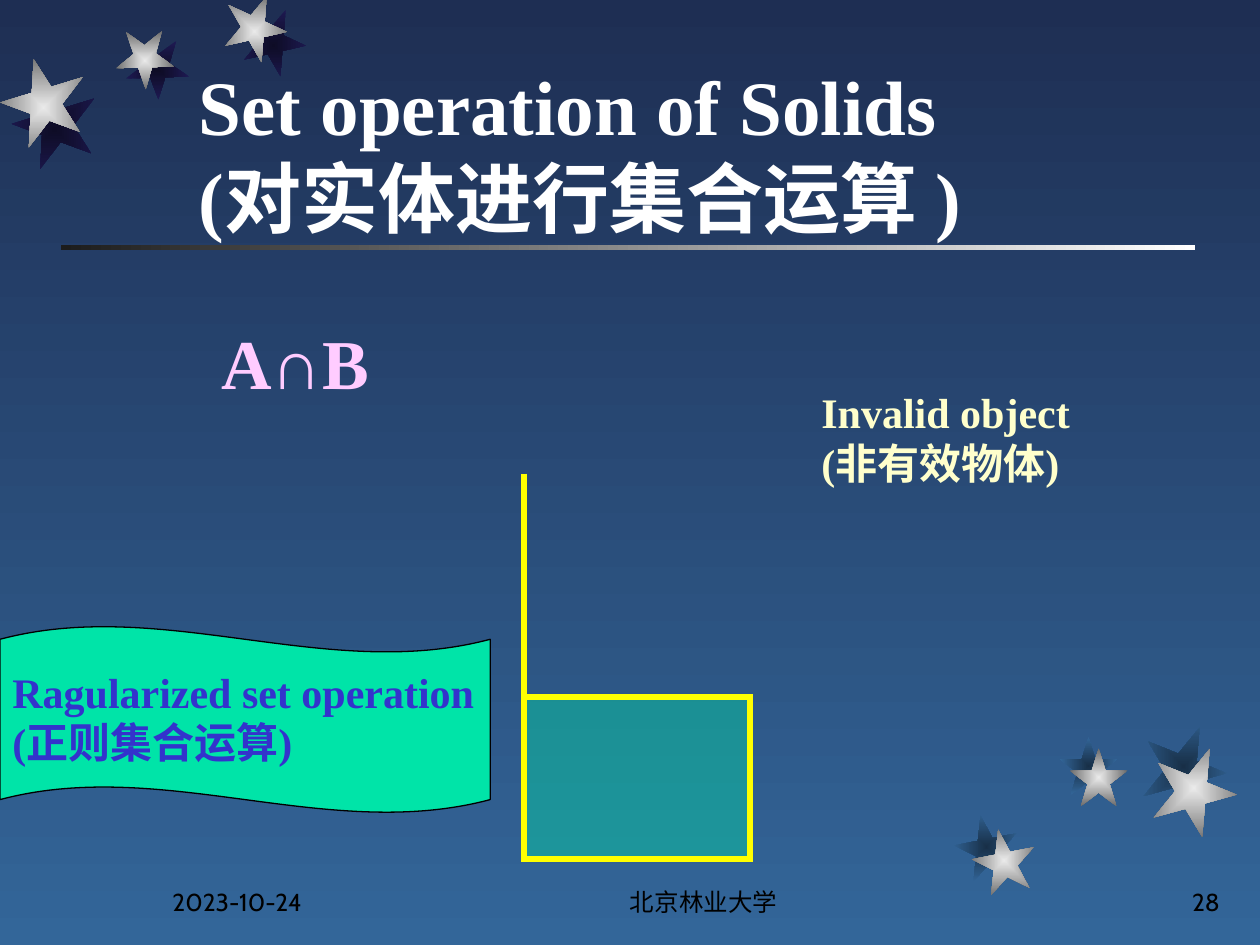
from lxml import etree
from pptx import Presentation
from pptx.dml.color import RGBColor
from pptx.enum.shapes import MSO_CONNECTOR, MSO_SHAPE
from pptx.enum.text import MSO_ANCHOR, MSO_AUTO_SIZE, PP_ALIGN
from pptx.oxml.ns import qn
from pptx.util import Inches, Pt

RECT, STAR, WAVE = MSO_SHAPE.RECTANGLE, MSO_SHAPE.STAR_5_POINT, MSO_SHAPE.WAVE
STRAIGHT = MSO_CONNECTOR.STRAIGHT
TOP, BOTTOM = MSO_ANCHOR.TOP, MSO_ANCHOR.BOTTOM
LEFT, CENTER, RIGHT = PP_ALIGN.LEFT, PP_ALIGN.CENTER, PP_ALIGN.RIGHT
FIXED, GROW = MSO_AUTO_SIZE.NONE, MSO_AUTO_SIZE.SHAPE_TO_FIT_TEXT
SERIF, SANS = "Times New Roman", "Cabin"

COLORS = {
    "night": "1E2E53", "sea": "336699", "coal": "1C1C1C", "white": "FFFFFF",
    "violet_dark": "0E0C26", "violet": "1E1A53", "sea_dark": "182F47",
    "silver": "EAEAEA", "grey": "6C6C6C", "black": "000000",
    "pink": "FFCCFF", "cream": "FFFFCC", "green": "00E4A8",
    "yellow": "FFFF00", "blue": "3333CC",
}
RGB = {name: RGBColor.from_string(value) for name, value in COLORS.items()}

prs = Presentation()
prs.slide_width, prs.slide_height = Inches(10), Inches(7.5)
s = prs.slides.add_slide(prs.slide_layouts[6])
COL = prs.slide_width / 100
ROW = prs.slide_height / 75


def add_shape(kind, x, y, w, h):
    sp = s.shapes.add_shape(kind, int(x * COL), int(y * ROW), int(w * COL), int(h * ROW))
    sp.shadow.inherit = False
    sp.line.fill.background()
    return sp


def set_gradient(fill, names, angle=None):
    fill.gradient()
    for stop, name, position in zip(fill.gradient_stops, names, (0, 1)):
        stop.color.rgb = RGB[name]
        stop.position = position
    if angle is not None:
        fill.gradient_angle = angle


set_gradient(s.background.fill, ("night", "sea"), 270)

rule = add_shape(RECT, 4.85, 19.45, 90, 0.4)
set_gradient(rule.fill, ("coal", "white"), 0)

star_groups = [
    (("violet_dark", "violet"), [
        (19.2, 1.1, 5, 5, 167.3, -1.5, -1.1),
        (10, 3.3, 5, 4.6, 178.3, -0.8, -0.8),
        (1, 6.9, 6.7, 6.7, 200.3, -0.9, -1.7),
    ]),
    (("sea_dark", "sea"), [
        (75.8, 64.7, 5, 5, 349, 1.4, 1.1),
        (84.1, 58.5, 4.6, 4.6, 0, 0.8, 0.9),
        (90.6, 57.5, 6.7, 6.7, 22, 0.8, 1.7),
    ]),
]
for shade, stars in star_groups:
    for names, shift in ((shade, 0), (("silver", "grey"), 1)):
        for x, y, w, h, angle, dx, dy in stars:
            width = h if shift else w
            star = add_shape(STAR, x + shift * dx, y + shift * dy, width, h)
            star.rotation = angle
            set_gradient(star.fill, names)
            grad = star.fill._xPr.find(qn("a:gradFill"))
            grad.remove(grad.find(qn("a:lin")))
            center = etree.SubElement(grad, qn("a:path"), {"path": "rect"})
            etree.SubElement(center, qn("a:fillToRect"), dict.fromkeys("ltrb", "50000"))

overlap = add_shape(RECT, 41.6, 55.3, 17.9, 12.9)
overlap.fill.solid()
overlap.fill.fore_color.rgb = RGB["green"]
tint = overlap.fill._xPr.find(qn("a:solidFill"))[0]
etree.SubElement(tint, qn("a:alpha"), {"val": "40000"})

edge = s.shapes.add_connector(STRAIGHT, int(41.6 * COL), int(37.6 * ROW),
                              int(41.6 * COL), int(55.5 * ROW))

banner = add_shape(WAVE, 0, 49.7, 38.9, 14.8)
banner.adjustments[0] = 0.07
banner.fill.solid()
banner.fill.fore_color.rgb = RGB["green"]

for sp, name, width in ((overlap, "yellow", 3.5), (edge, "yellow", 3.5), (banner, "black", 0.75)):
    sp.line.color.rgb = RGB[name]
    sp.line.width = Pt(width)
etree.SubElement(overlap._element.spPr.find(qn("a:ln")), qn("a:miter"), {"lim": "800000"})
etree.SubElement(edge._element.spPr, qn("a:effectLst"))

formats = {
    "footer": {"name": SANS, "size": Pt(14), "bold": False},
    "title": {"name": SERIF, "size": Pt(44), "bold": True},
    "formula": {"name": SERIF, "size": Pt(40), "bold": True},
    "label": {"name": SERIF, "size": Pt(24), "bold": True},
}
texts = [
    ((12.7, 68.25, 20.8, 5), "2023-10-24", "footer", "black", LEFT, BOTTOM, True),
    ((40, 68.25, 31.7, 5), "北京林业大学", "footer", "black", CENTER, BOTTOM, True),
    ((77, 68.25, 20.8, 5), "28", "footer", "black", RIGHT, BOTTOM, True),
    ((14.8, 3.8, 75, 16), "Set operation of Solids\v(对实体进行集合运算 )",
     "title", "white", LEFT, BOTTOM, True),
    ((16.6, 24.9, 13.7, 7.7), "A∩B", "formula", "pink", LEFT, TOP, False),
    ((64.2, 30.2, 22.5, 9), "Invalid object\n(非有效物体)", "label", "cream", LEFT, TOP, False),
    ((0, 52.4, 40, 9), "Ragularized set operation\n(正则集合运算)",
     "label", "blue", LEFT, TOP, True),
]
for (x, y, w, h), words, style, name, align, anchor, wrap in texts:
    tb = s.shapes.add_textbox(int(x * COL), int(y * ROW), int(w * COL), int(h * ROW))
    tf = tb.text_frame
    tf.text = words
    tf.word_wrap = wrap
    tf.vertical_anchor = anchor
    tf.auto_size = FIXED if wrap else GROW
    for p in tf.paragraphs:
        p.alignment = align
        for r in p.runs:
            for key, value in formats[style].items():
                setattr(r.font, key, value)
            r.font.color.rgb = RGB[name]

prs.save("out.pptx")
